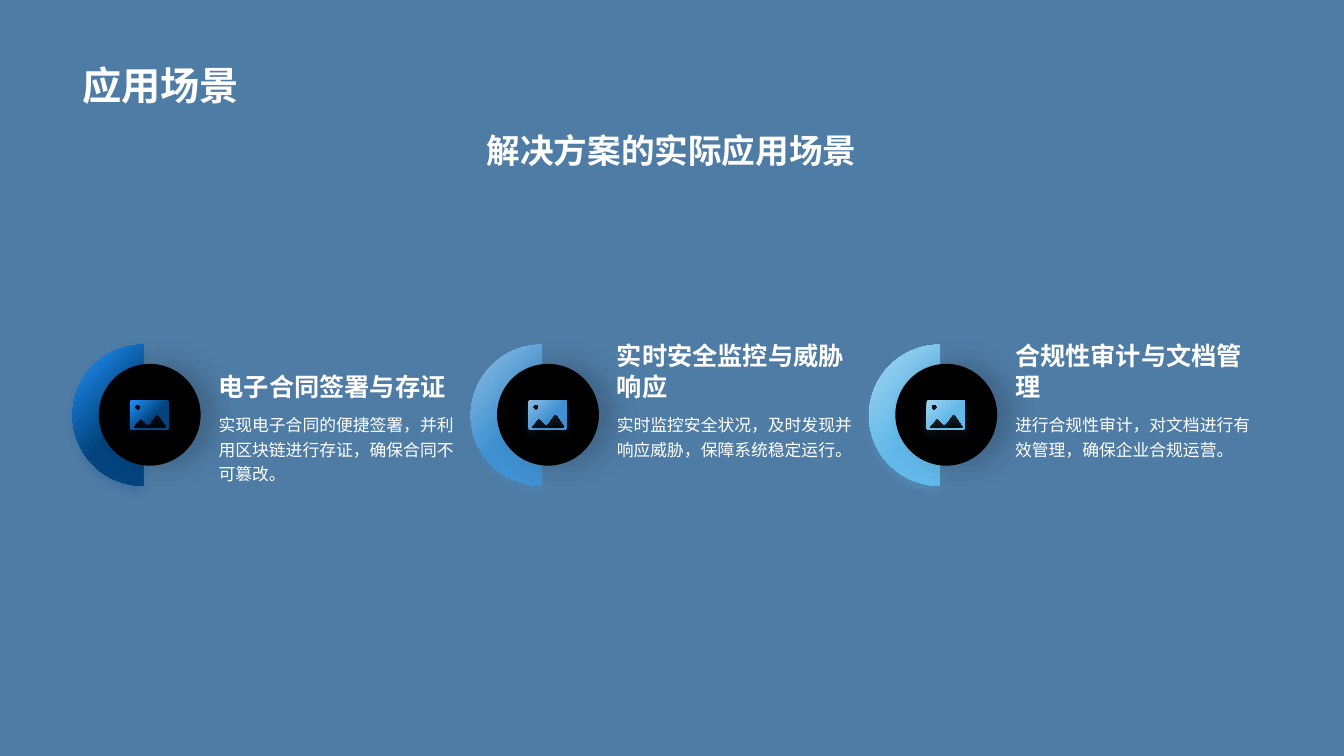
from math import cos, radians, sin

from lxml import etree
from pptx import Presentation
from pptx.dml.color import RGBColor
from pptx.enum.shapes import MSO_SHAPE
from pptx.enum.text import MSO_ANCHOR, PP_ALIGN
from pptx.oxml.ns import qn
from pptx.util import Inches, Pt

OVAL = MSO_SHAPE.OVAL
TOP, BOTTOM = MSO_ANCHOR.TOP, MSO_ANCHOR.BOTTOM
LEFT, CENTER = PP_ALIGN.LEFT, PP_ALIGN.CENTER

BACKGROUND, WHITE, BLACK = "4F7CA5", "FFFFFF", "000000"
FONT = "Arial"
TITLE = "应用场景"
SUBTITLE = "解决方案的实际应用场景"
SCENARIOS = [
    ("电子合同签署与存证",
     "实现电子合同的便捷签署，并利用区块链进行存证，确保合同不可篡改。",
     "2093FA", "03447E"),
    ("实时安全监控与威胁响应",
     "实时监控安全状况，及时发现并响应威胁，保障系统稳定运行。",
     "8CBDE3", "3F91D1"),
    ("合规性审计与文档管理",
     "进行合规性审计，对文档进行有效管理，确保企业合规运营。",
     "A1D5F2", "62B9E9"),
]
MARGIN, PITCH, MIDDLE = 0.72, 3.95, 4.12
RADIUS = 0.7
MOUNTAINS = [
    (0.6, 4.25), (0.6, 4.23), (0.66, 4.16), (0.675, 4.15), (0.69, 4.16),
    (0.73, 4.2), (0.745, 4.21), (0.76, 4.2), (0.82, 4.12), (0.835, 4.11),
    (0.86, 4.12), (0.935, 4.23), (0.93, 4.25),
]


def color(value):
    return RGBColor.from_string(value)


def arc(x, y, radius, start, end, steps):
    angles = [radians(start + (end - start) * i / steps) for i in range(steps + 1)]
    return [(x + radius * cos(a), y + radius * sin(a)) for a in angles]


def rounded_frame(left, top, right, bottom, radius):
    corners = [(right, bottom), (left, bottom), (left, top), (right, top)]
    center_x, center_y = (left + right) / 2, (top + bottom) / 2
    points = []
    for i, (x, y) in enumerate(corners):
        x += radius if x < center_x else -radius
        y += radius if y < center_y else -radius
        points += arc(x, y, radius, 90 * i, 90 * i + 90, 6)
    return points


HALF_DISC = [arc(RADIUS, MIDDLE, RADIUS, 90, 270, 60)]
ICON = [
    rounded_frame(0.57, 3.97, 0.95, 4.26, 0.02),
    MOUNTAINS,
    arc(0.645, 4.04, 0.03, 0, 360, 16),
]


def add_shadow(shape, value, blur, distance, direction):
    shape.shadow.inherit = False
    effects = shape._element.spPr.find(qn("a:effectLst"))
    shadow = etree.SubElement(
        effects, qn("a:outerShdw"), blurRad=str(Pt(blur)), dist=str(Pt(distance)),
        dir=str(direction * 60000), algn="ctr", rotWithShape="0")
    tint = etree.SubElement(shadow, qn("a:srgbClr"), val=value)
    etree.SubElement(tint, qn("a:alpha"), val="20000")


def add_outline(page, contours, left, light, dark):
    contours = [[(Inches(left + x), Inches(y)) for x, y in points] for points in contours]
    builder = page.shapes.build_freeform(*contours[0][0])
    builder.add_line_segments(contours[0][1:], close=True)
    for points in contours[1:]:
        builder.move_to(*points[0])
        builder.add_line_segments(points[1:], close=True)
    shape = builder.convert_to_shape()
    shape.line.fill.background()
    shape.fill.gradient()
    shape.fill.gradient_angle = 315
    for stop, position, value in zip(shape.fill.gradient_stops, (0, 0.6), (light, dark)):
        stop.position = position
        stop.color.rgb = color(value)
    add_shadow(shape, dark, 6, 4, 90)


def add_text(page, text, place, size, bold=True, anchor=TOP, align=LEFT, spacing=1.0):
    box = page.shapes.add_textbox(*[Inches(length) for length in place])
    frame = box.text_frame
    frame.word_wrap = True
    frame.vertical_anchor = anchor
    frame.text = text
    para = frame.paragraphs[0]
    para.alignment = align
    para.line_spacing = spacing
    font = para.runs[0].font
    font.name, font.size, font.bold = FONT, Pt(size), bold
    font.color.rgb = color(WHITE)


def add_scenario(page, left, heading, detail, light, dark):
    add_outline(page, HALF_DISC, left, light, dark)
    disc = page.shapes.add_shape(
        OVAL, Inches(left + 0.26), Inches(3.61), Inches(1.01), Inches(1.01))
    disc.fill.solid()
    disc.fill.fore_color.rgb = color(BLACK)
    disc.line.fill.background()
    add_shadow(disc, BLACK, 20, 10, 0)
    add_outline(page, ICON, left, light, dark)
    add_text(page, heading, (left + 1.35, 3.02, 2.54, 1.01), 18, anchor=BOTTOM)
    add_text(page, detail, (left + 1.35, 4.03, 2.54, 1.93), 12, bold=False, spacing=1.2)


def main():
    deck = Presentation()
    deck.slide_width, deck.slide_height = Inches(13.33), Inches(7.5)
    page = deck.slides.add_slide(deck.slide_layouts[6])
    page.background.fill.solid()
    page.background.fill.fore_color.rgb = color(BACKGROUND)
    add_text(page, TITLE, (MARGIN, 0.14, 11.88, 0.98), 28, anchor=BOTTOM)
    add_text(page, SUBTITLE, (MARGIN, 1.24, 11.88, 0.57), 24, align=CENTER)
    for i, scenario in enumerate(SCENARIOS):
        add_scenario(page, MARGIN + i * PITCH, *scenario)
    deck.save("out.pptx")


if __name__ == "__main__":
    main()
